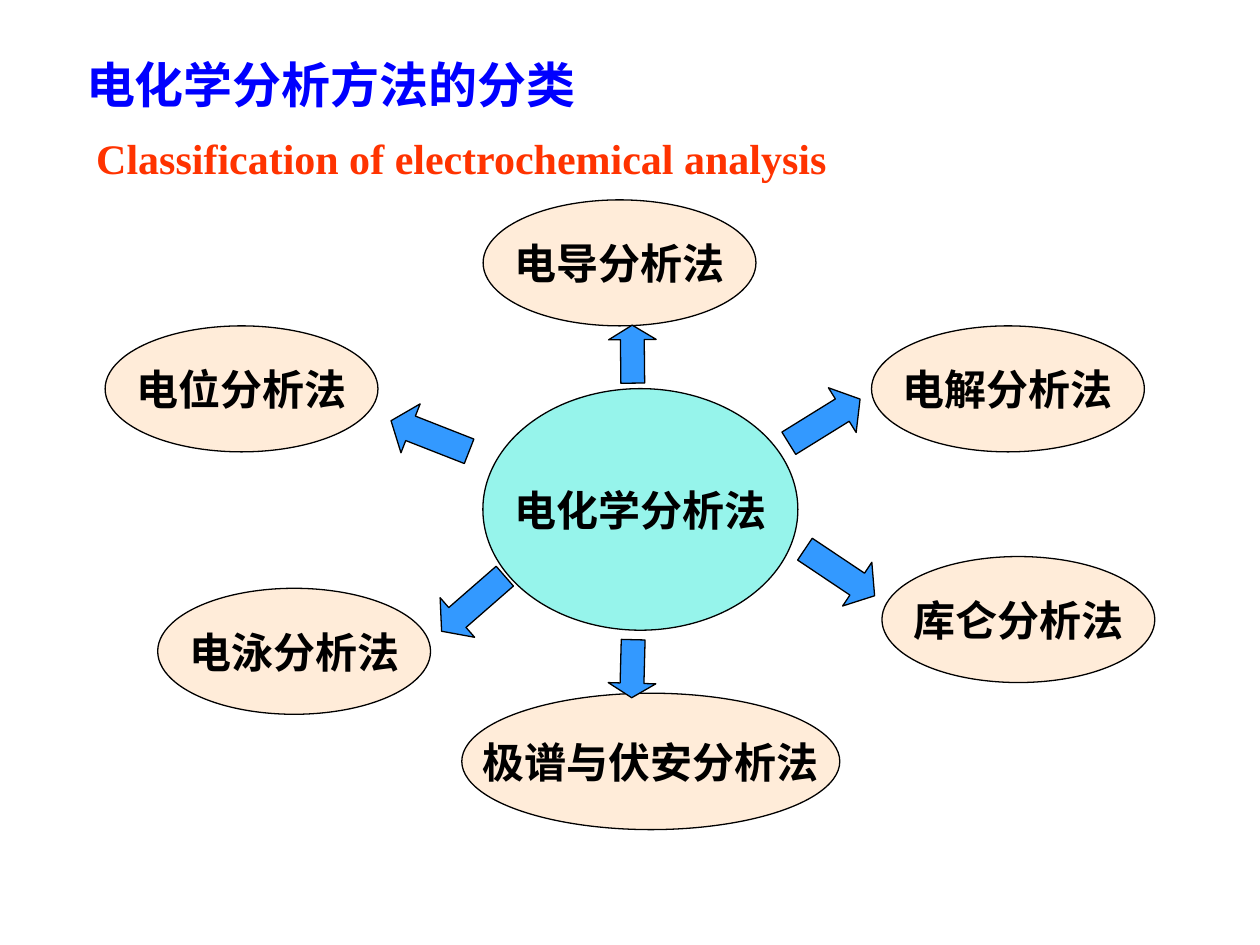
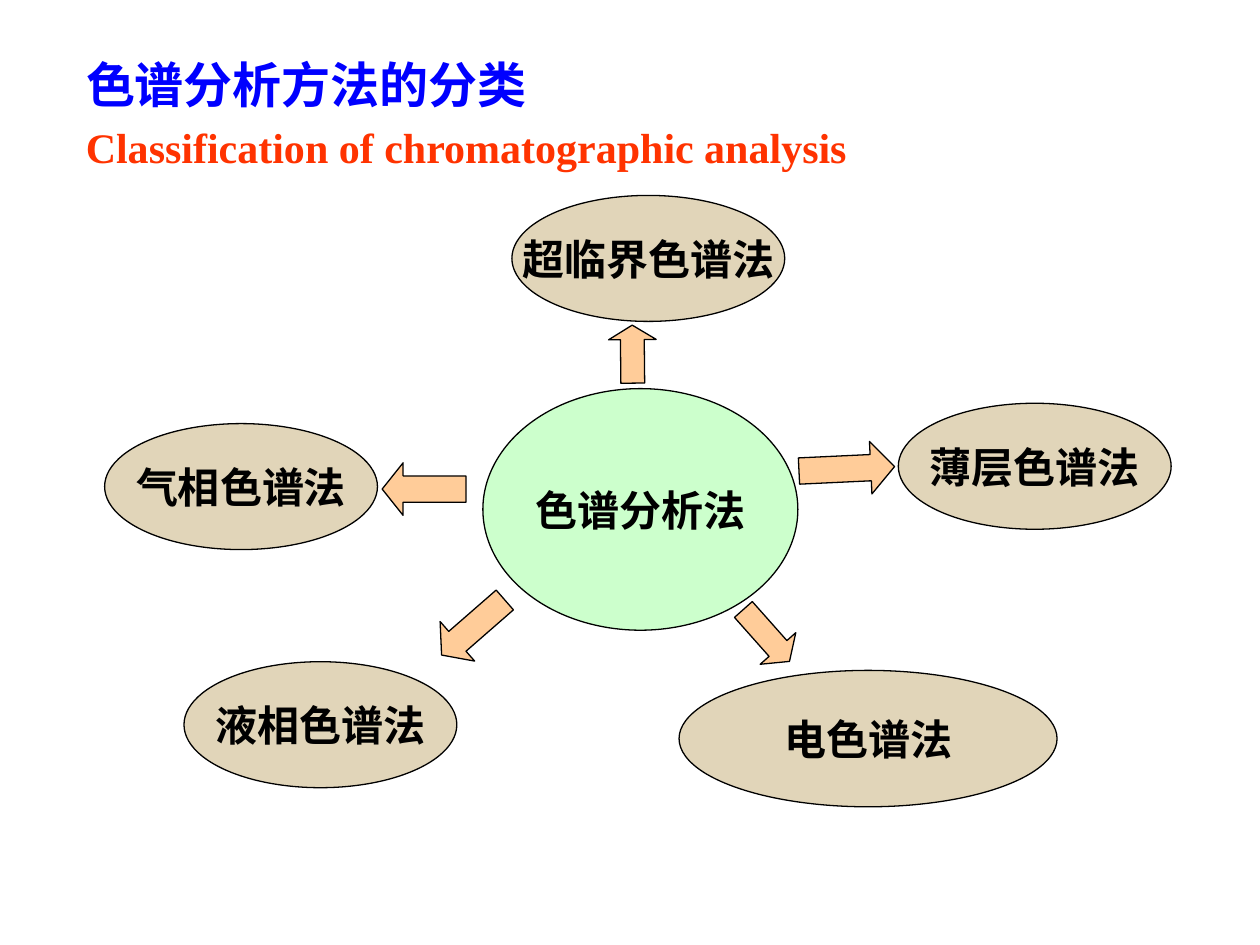
from dataclasses import dataclass

from lxml.etree import SubElement
from pptx import Presentation
from pptx.dml.color import RGBColor
from pptx.enum.shapes import MSO_SHAPE as Preset
from pptx.enum.text import MSO_ANCHOR as Anchor, MSO_AUTO_SIZE as AutoSize, PP_ALIGN as Align
from pptx.oxml.ns import qn
from pptx.util import Cm, Pt

COLORS = {
    "title": "0000FF",
    "subtitle": "FF3300",
    "ink": "000000",
    "electro_hub": "96F4EB",
    "electro_method": "FFECD9",
    "electro_arrow": "3399FF",
    "chroma_hub": "CCFFCC",
    "chroma_method": "E1D5B9",
    "chroma_arrow": "FFCC99",
}
CHINESE_FONT = "Noto Sans CJK SC"
TITLE_BOX = (1.48, 1.06, 21.6, 1.27)
DIAGRAM_BOX = (2.1, 3.94, 21.62, 12.78)
HUB_CENTER = (10.81, 6.33)
HUB_SIZE = (6.35, 4.87)
METHOD_SIZE = (5.5, 2.54)
WIDE_METHOD_SIZE = (7.62, 2.75)
ARROW_SIZE = (1.69, 1.06)
SHORT_ARROW_SIZE = (1.17, 0.96)


@dataclass
class Method:
    """A method ellipse, placed by its offset from the hub centre."""
    name: str
    offset: tuple
    size: tuple = METHOD_SIZE


@dataclass
class Arrow:
    """An arrow from the hub, with its offset and rotation in degrees."""
    offset: tuple
    angle: float
    size: tuple = ARROW_SIZE


UP_ARROW = Arrow((-0.16, -3.13), 89.4, SHORT_ARROW_SIZE)

ELECTRO = {
    "theme": "electro",
    "title": "电化学分析方法的分类",
    "subtitle": "Classification of electrochemical analysis",
    "subtitle_box": (1.69, 2.54, 19.05, 1.27),
    "hub": "电化学分析法",
    "methods": [
        Method("电位分析法", (-8.04, -2.43)),
        Method("电解分析法", (7.41, -2.43)),
        Method("电泳分析法", (-6.98, 2.86)),
        Method("库仑分析法", (7.62, 2.22)),
        Method("极谱与伏安分析法", (0.21, 5.08), WIDE_METHOD_SIZE),
        Method("电导分析法", (-0.42, -4.97)),
    ],
    "arrows": [
        Arrow((-4.24, -1.48), 21.4),
        UP_ARROW,
        Arrow((3.71, -1.78), 148.2),
        Arrow((4.02, 1.27), 213.8),
        Arrow((-0.16, 3.21), 271.5, SHORT_ARROW_SIZE),
        Arrow((-3.37, 1.9), 318.9),
    ],
}

CHROMA = {
    "theme": "chroma",
    "title": "色谱分析方法的分类",
    "subtitle": "Classification of chromatographic analysis",
    "subtitle_box": (1.48, 2.33, 16.09, 1.27),
    "hub": "色谱分析法",
    "methods": [
        Method("气相色谱法", (-8.05, -0.46)),
        Method("薄层色谱法", (7.95, -0.87)),
        Method("液相色谱法", (-6.45, 4.34)),
        Method("电色谱法", (4.59, 4.62), WIDE_METHOD_SIZE),
        Method("超临界色谱法", (0.16, -5.06)),
    ],
    "arrows": [
        Arrow((-4.36, -0.41), 0),
        UP_ARROW,
        Arrow((4.16, -0.82), 177.3, (1.93, 1.06)),
        Arrow((2.54, 2.54), 228.4, (1.4, 0.96)),
        Arrow((-3.37, 2.38), 318.9),
    ],
}


def color(key):
    """Look up a colour of the deck."""
    return RGBColor.from_string(COLORS[key])


def write(frame, text, size, font, ink, align):
    """Write one bold run into a text frame."""
    paragraph = frame.paragraphs[0]
    paragraph.alignment = align
    run = paragraph.add_run()
    run.text = text
    run.font.size = Pt(size)
    run.font.bold = True
    run.font.color.rgb = color(ink)
    run.font.name = font
    SubElement(run.font._element, qn("a:ea"), typeface=CHINESE_FONT)


def add_centered(slide, preset, center, size, fill):
    """Add an outlined preset shape around a centre point."""
    (x, y), (width, height) = center, size
    shape = slide.shapes.add_shape(
        preset, Cm(x - width / 2), Cm(y - height / 2), Cm(width), Cm(height))
    shape.shadow.inherit = False
    shape.fill.solid()
    shape.fill.fore_color.rgb = color(fill)
    shape.line.color.rgb = color("ink")
    shape.line.width = Pt(0.75)
    return shape


def add_ellipse(slide, label, center, size, fill):
    """Add an ellipse with a centred label."""
    frame = add_centered(slide, Preset.OVAL, center, size, fill).text_frame
    frame.word_wrap = False
    frame.vertical_anchor = Anchor.MIDDLE
    write(frame, label, 24, "Arial", "ink", Align.CENTER)


def add_arrow(slide, arrow, center, fill):
    """Add a rotated block arrow whose head takes a quarter of its length."""
    shape = add_centered(slide, Preset.LEFT_ARROW, center, arrow.size, fill)
    length, width = arrow.size
    shape.adjustments[0] = 0.5
    shape.adjustments[1] = length / 4 / width
    shape.rotation = arrow.angle


def add_heading(slide, title, subtitle, subtitle_box):
    """Fill the title and add the English subtitle below it."""
    frame = slide.shapes.title.text_frame
    frame.auto_size = AutoSize.NONE
    write(frame, title, 28, CHINESE_FONT, "title", Align.LEFT)
    english = slide.shapes.add_textbox(*map(Cm, subtitle_box)).text_frame
    english.word_wrap = True
    write(english, subtitle, 24, "Times New Roman", "subtitle", Align.JUSTIFY)


def add_diagram(slide, box, topic):
    """Draw the hub, its methods and the arrows inside a box."""
    left, top = box[:2]
    theme = topic["theme"]

    def place(offset):
        """Turn an offset from the hub into a point on the slide."""
        return left + HUB_CENTER[0] + offset[0], top + HUB_CENTER[1] + offset[1]

    add_ellipse(slide, topic["hub"], place((0, 0)), HUB_SIZE, f"{theme}_hub")
    for method in topic["methods"]:
        add_ellipse(slide, method.name, place(method.offset), method.size, f"{theme}_method")
    for arrow in topic["arrows"]:
        add_arrow(slide, arrow, place(arrow.offset), f"{theme}_arrow")


def style_layout(layout):
    """Set the title position that all slides share."""
    title = layout.placeholders[0]
    title.left, title.top, title.width, title.height = map(Cm, TITLE_BOX)
    title.text_frame.vertical_anchor = Anchor.MIDDLE


def add_topic_slide(deck, layout, topic):
    """Add one classification slide."""
    slide = deck.slides.add_slide(layout)
    add_heading(slide, topic["title"], topic["subtitle"], topic["subtitle_box"])
    add_diagram(slide, DIAGRAM_BOX, topic)


def main():
    """Build and save the deck."""
    deck = Presentation()
    deck.slide_width, deck.slide_height = Cm(25.4), Cm(19.05)
    layout = deck.slide_layouts[5]
    style_layout(layout)
    for topic in (ELECTRO, CHROMA):
        add_topic_slide(deck, layout, topic)
    deck.save("out.pptx")


if __name__ == "__main__":
    main()
